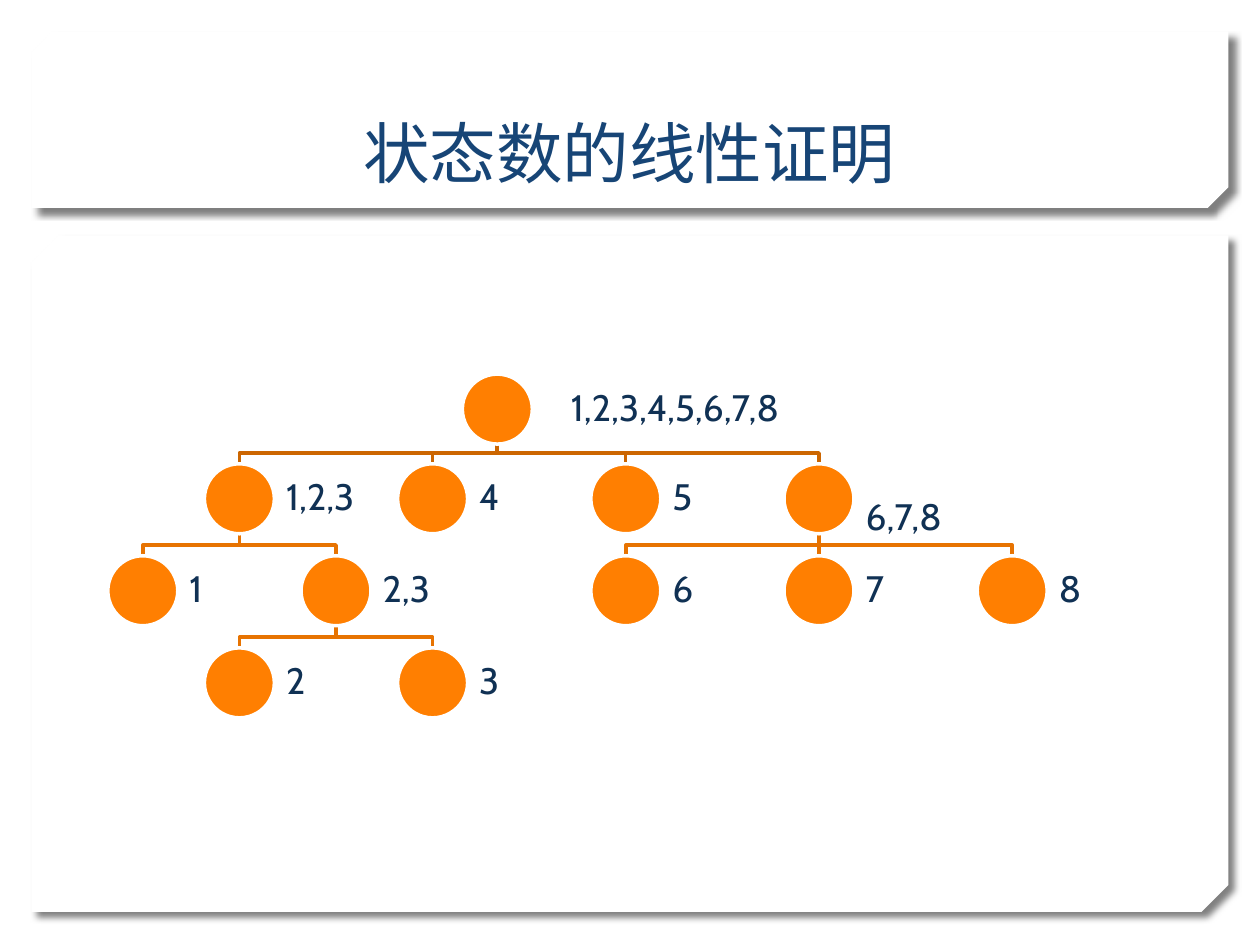
"""Build the slide showing the tree of end-position sets."""
from dataclasses import dataclass

from lxml import etree
from pptx import Presentation
from pptx.dml.color import RGBColor
from pptx.enum import shapes, text
from pptx.oxml import parse_xml
from pptx.oxml.ns import nsdecls, qn
from pptx.util import Pt


@dataclass(frozen=True)
class Theme:
    font: str = "Cabin"
    title_size: float = 38
    label_size: float = 21
    line_width: float = 2
    title: str = "174576"
    label: str = "103154"
    panel: str = "FFFFFF"
    node: str = "FF7F01"
    node_edge: str = "FFFFFF"
    root_branch: str = "CC6601"
    branch: str = "E77301"


@dataclass(frozen=True)
class Panel:
    top: float
    height: float
    snip: float


@dataclass(frozen=True)
class Node:
    label: str
    column: float
    row: int
    parent: int | None = None
    label_gap: float = 0
    label_width: float = 60.5

    @property
    def center(self) -> float:
        return FIRST_COLUMN + self.column * COLUMN_STEP

    @property
    def top(self) -> float:
        return ROW_TOPS[self.row]

    @property
    def bottom(self) -> float:
        return self.top + DIAMETER


THEME = Theme()
FIRST_COLUMN, COLUMN_STEP = 81.6, 55.2
ROW_TOPS = (213.8, 265, 317.6, 370.2)
DIAMETER, ELBOW_RISE, INSET = 40, 6.2, 6.7
PANELS = (Panel(134.6, 386.6, 0.04), Panel(18, 100.8, 0.117))
NODES = (
    Node("1,2,3,4,5,6,7,8", 3.67, 0, label_gap=15.4, label_width=171.4),
    Node("1,2,3", 1, 1, 0),
    Node("1", 0, 2, 1),
    Node("2,3", 2, 2, 1),
    Node("2", 1, 3, 3),
    Node("3", 3, 3, 3),
    Node("4", 3, 1, 0),
    Node("5", 5, 1, 0),
    Node(" 6,7,8", 7, 1, 0),
    Node("6", 5, 2, 8),
    Node("7", 7, 2, 8),
    Node("8", 9, 2, 8),
)


def color(value: str) -> RGBColor:
    return RGBColor.from_string(value)


def write(paragraph, words: str, size: float, ink: str) -> None:
    run = paragraph.add_run()
    run.text = words
    run.font.name = THEME.font
    run.font.size = Pt(size)
    run.font.color.rgb = color(ink)


def draw_panel(slide, panel: Panel) -> None:
    sheet = slide.shapes.add_shape(
        shapes.MSO_SHAPE.SNIP_2_DIAG_RECTANGLE,
        Pt(18), Pt(panel.top), Pt(684), Pt(panel.height))
    sheet.adjustments[0] = 0
    sheet.adjustments[1] = panel.snip
    sheet.fill.solid()
    sheet.fill.fore_color.rgb = color(THEME.panel)
    sheet.line.fill.background()
    properties = sheet._element.spPr
    properties.find(qn("a:xfrm")).set("flipV", "1")
    properties.append(parse_xml(
        f'<a:effectLst {nsdecls("a")}><a:outerShdw blurRad="{Pt(4)}" dist="{Pt(5)}" '
        'dir="2700000" algn="tl" rotWithShape="0"><a:srgbClr val="000000">'
        '<a:alpha val="50000"/></a:srgbClr></a:outerShdw></a:effectLst>'))


def draw_title(slide, words: str) -> None:
    heading = slide.shapes.title
    heading.left, heading.top, heading.width, heading.height = map(Pt, (61.2, 23, 597, 90))
    frame = heading.text_frame
    frame.vertical_anchor = text.MSO_ANCHOR.BOTTOM
    paragraph = frame.paragraphs[0]
    paragraph.alignment = text.PP_ALIGN.CENTER
    write(paragraph, words, THEME.title_size, THEME.title)
    slide.shapes._spTree.append(heading._element)


def draw_branch(slide, parent: Node, child: Node) -> None:
    if parent.column == child.column:
        branch = slide.shapes.add_connector(
            shapes.MSO_CONNECTOR.STRAIGHT,
            Pt(parent.center), Pt(parent.bottom), Pt(child.center), Pt(child.top))
        etree.SubElement(branch._element.spPr, qn("a:effectLst"))
    else:
        elbow = child.top - ELBOW_RISE
        corners = ((parent.center, elbow), (child.center, elbow), (child.center, child.top))
        builder = slide.shapes.build_freeform(Pt(parent.center), Pt(parent.bottom))
        builder.add_line_segments([(Pt(x), Pt(y)) for x, y in corners], close=False)
        branch = builder.convert_to_shape()
        branch.fill.background()
        branch.shadow.inherit = False
    branch.line.color.rgb = color(THEME.root_branch if parent.row == 0 else THEME.branch)
    branch.line.width = Pt(THEME.line_width)


def draw_node(slide, node: Node) -> None:
    radius = DIAMETER / 2
    circle = slide.shapes.add_shape(
        shapes.MSO_SHAPE.OVAL,
        Pt(node.center - radius), Pt(node.top), Pt(DIAMETER), Pt(DIAMETER))
    circle.shadow.inherit = False
    circle.fill.solid()
    circle.fill.fore_color.rgb = color(THEME.node)
    circle.line.color.rgb = color(THEME.node_edge)
    circle.line.width = Pt(THEME.line_width)

    label = slide.shapes.add_textbox(
        Pt(node.center + radius + node.label_gap), Pt(node.top),
        Pt(node.label_width), Pt(DIAMETER))
    frame = label.text_frame
    frame.word_wrap = True
    frame.vertical_anchor = text.MSO_ANCHOR.MIDDLE
    frame.margin_left = frame.margin_right = Pt(INSET)
    frame.margin_top = frame.margin_bottom = Pt(INSET)
    paragraph = frame.paragraphs[0]
    paragraph.line_spacing = 0.9
    write(paragraph, node.label, THEME.label_size, THEME.label)


def main() -> None:
    deck = Presentation()
    deck.slide_width, deck.slide_height = Pt(720), Pt(540)
    slide = deck.slides.add_slide(deck.slide_layouts.get_by_name("Title Only"))
    for panel in PANELS:
        draw_panel(slide, panel)
    draw_title(slide, "状态数的线性证明")
    for node in NODES:
        if node.parent is not None:
            draw_branch(slide, NODES[node.parent], node)
    for node in NODES:
        draw_node(slide, node)
    deck.save("out.pptx")


if __name__ == "__main__":
    main()
